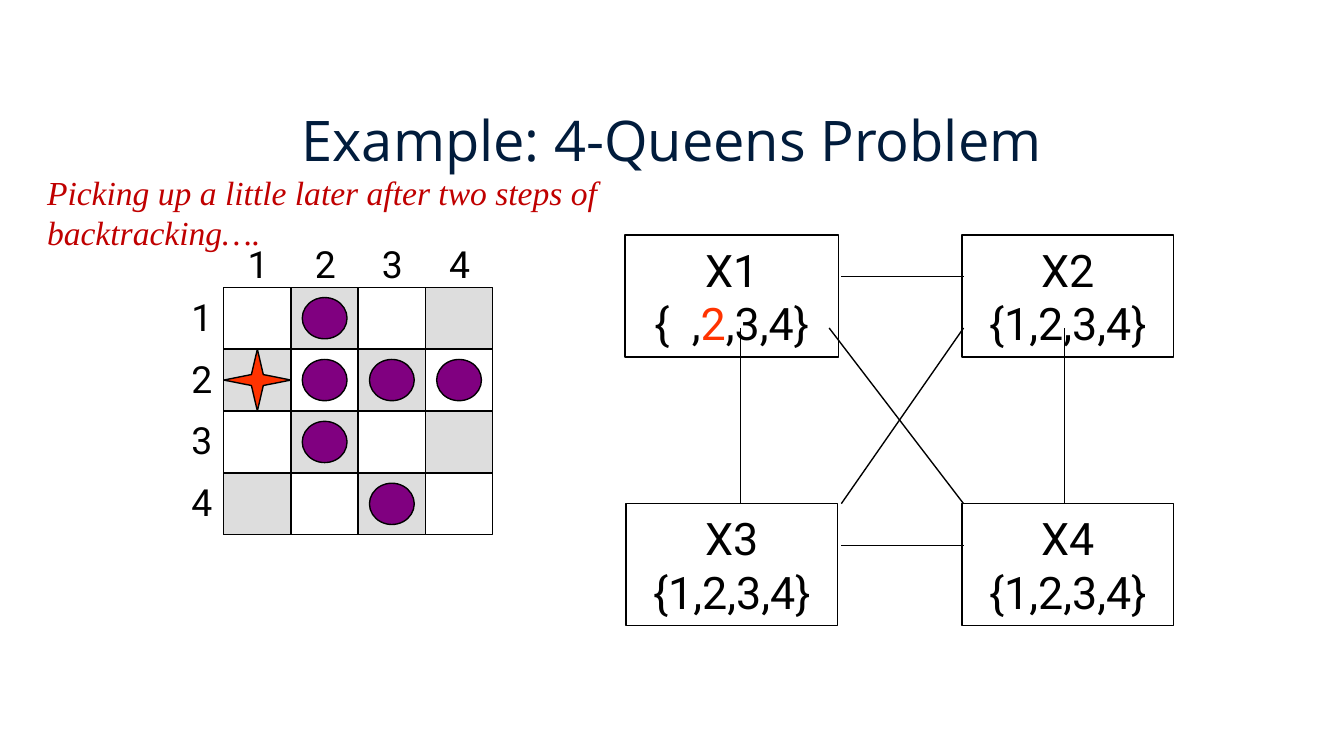
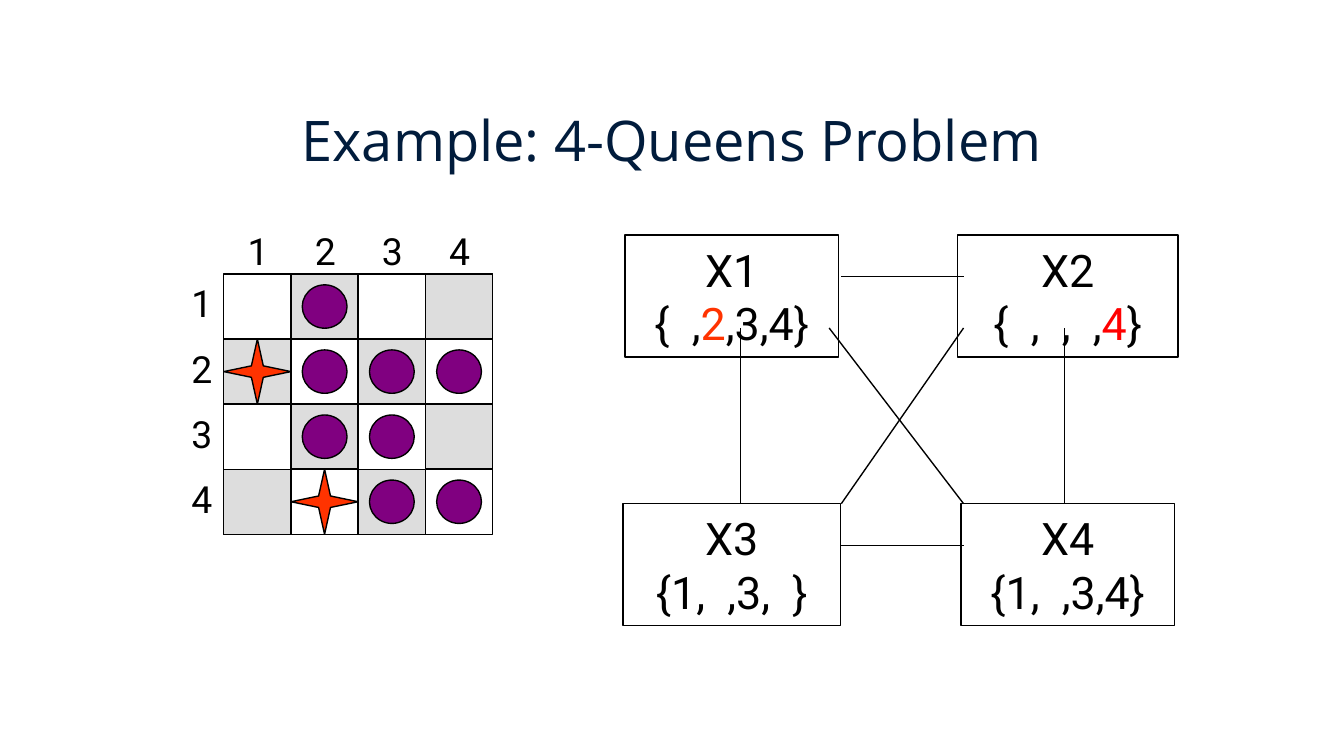
from itertools import product

from lxml.etree import SubElement
from pptx import Presentation
from pptx.dml.color import RGBColor
from pptx.enum.shapes import MSO_CONNECTOR, MSO_SHAPE
from pptx.enum.text import MSO_ANCHOR, MSO_AUTO_SIZE as AUTO_SIZE, PP_ALIGN
from pptx.oxml.ns import qn
from pptx.util import Cm, Pt

BLACK, NAVY, CRIMSON = "000000", "011C3C", "C00000"
ORANGE, RED, PURPLE, GREY = "FF3300", "FF0000", "800080", "DDDDDD"
TITLE_FONT, BODY_FONT, NOTE_FONT = "Open Sans", "Roboto", "Times New Roman"
TITLE_ONLY = 5
BOARD_SIZE = 4
CELL_WIDTH = 1.27
MARK_RATIO = 2 / 3
LINE_WIDTH = 0.75
NODE_HEIGHT = 2.31
NODE_CENTERS = (2.03, 8.38)
NODE_TOPS = (0, 5.08)
EDGES = [
    (4.1, 0.79, 6.41, 0.79),
    (2.2, 1.76, 2.2, 5.08),
    (4.1, 5.87, 6.41, 5.87),
    (8.32, 1.76, 8.32, 5.08),
    (3.87, 1.76, 6.41, 5.08),
    (6.41, 1.76, 4.1, 5.08),
]


def color(hex_string):
    """Turn a hex string into a colour."""
    return RGBColor.from_string(hex_string)


def add_run(paragraph, text, size, font, hex_color=BLACK, italic=None):
    """Append one formatted run to a paragraph."""
    run = paragraph.add_run()
    run.text = text
    run.font.size = Pt(size)
    run.font.name = font
    run.font.color.rgb = color(hex_color)
    run.font.italic = italic


def add_box(shapes, kind, left, top, width, height, fill=None):
    """Add an outlined preset shape, filled or clear."""
    shape = shapes.add_shape(kind, Cm(left), Cm(top), Cm(width), Cm(height))
    shape.shadow.inherit = False
    shape.line.color.rgb = color(BLACK)
    shape.line.width = Pt(LINE_WIDTH)
    if fill:
        shape.fill.solid()
        shape.fill.fore_color.rgb = color(fill)
    else:
        shape.fill.background()
    return shape


def add_text(shapes, left, top, width, height, wrap=False):
    """Add a text box that grows with its text and return its frame."""
    frame = shapes.add_textbox(Cm(left), Cm(top), Cm(width), Cm(height)).text_frame
    frame.word_wrap = wrap
    frame.auto_size = AUTO_SIZE.SHAPE_TO_FIT_TEXT
    return frame


def add_edge(shapes, x1, y1, x2, y2):
    """Add a thin straight line between two points."""
    edge = shapes.add_connector(MSO_CONNECTOR.STRAIGHT, Cm(x1), Cm(y1), Cm(x2), Cm(y2))
    edge.line.color.rgb = color(BLACK)
    edge.line.width = Pt(LINE_WIDTH)
    SubElement(edge._element.spPr, qn("a:effectLst"))


def add_title(slide, text):
    """Place and format the title placeholder."""
    title = slide.shapes.title
    title.left, title.top, title.width, title.height = Cm(1.27), Cm(2), Cm(22.86), Cm(1.9)
    frame = title.text_frame
    frame.vertical_anchor = MSO_ANCHOR.TOP
    frame.margin_top = frame.margin_bottom = 0
    paragraph = frame.paragraphs[0]
    paragraph.alignment = PP_ALIGN.CENTER
    add_run(paragraph, text, 30, TITLE_FONT, NAVY)


def add_node(shapes, center, top, width, name, domain):
    """Draw one variable with its domain below its name."""
    node = add_box(shapes, MSO_SHAPE.RECTANGLE, center - width / 2, top, width, NODE_HEIGHT)
    frame = node.text_frame
    frame.word_wrap = False
    frame.auto_size = AUTO_SIZE.SHAPE_TO_FIT_TEXT
    for paragraph, runs in (
        (frame.paragraphs[0], [(name, BLACK)]),
        (frame.add_paragraph(), domain),
    ):
        paragraph.alignment = PP_ALIGN.CENTER
        for text, hex_color in runs:
            add_run(paragraph, text, 24, BODY_FONT, hex_color)


def add_constraint_graph(slide, left, top, nodes):
    """Draw four variables in a square and the lines between them."""
    shapes = slide.shapes.add_group_shape().shapes
    places = product(NODE_TOPS, NODE_CENTERS)
    for number, ((y, x), (width, domain)) in enumerate(zip(places, nodes), 1):
        add_node(shapes, left + x, top + y, width, f"X{number}", domain)
    for x1, y1, x2, y2 in EDGES:
        add_edge(shapes, left + x1, top + y1, left + x2, top + y2)


def add_board(slide, left, top, cell_height, queens, attacked):
    """Draw the numbered chessboard with queens and attacked squares."""
    shapes = slide.shapes.add_group_shape().shapes
    numbers = range(1, BOARD_SIZE + 1)

    def add_mark(kind, row, column, ratio, fill):
        """Centre a shape in a square of the board."""
        width, height = CELL_WIDTH * ratio, cell_height * ratio
        x = left + (column - 0.5) * CELL_WIDTH - width / 2
        y = top + (row - 0.5) * cell_height - height / 2
        return add_box(shapes, kind, x, y, width, height, fill)

    add_box(shapes, MSO_SHAPE.RECTANGLE, left, top,
            BOARD_SIZE * CELL_WIDTH, BOARD_SIZE * cell_height)
    for row, column in product(numbers, numbers):
        if (row + column) % 2:
            add_mark(MSO_SHAPE.RECTANGLE, row, column, 1, GREY)
    for number in numbers:
        row_place = (left - 0.86, top + (number - 1) * cell_height)
        column_place = (left + 0.2 + (number - 1) * CELL_WIDTH, top - 1)
        for x, y in (row_place, column_place):
            frame = add_text(shapes, x, y, 0.89, 1.37)
            add_run(frame.paragraphs[0], str(number), 20, BODY_FONT)
    for row, column in queens:
        star = add_mark(MSO_SHAPE.STAR_4_POINT, row, column, 1, ORANGE)
        star.adjustments[0] = 0.125
    for row, column in attacked:
        add_mark(MSO_SHAPE.OVAL, row, column, MARK_RATIO, PURPLE)


def add_note(slide, left, top, text):
    """Add the italic remark below the title."""
    frame = add_text(slide.shapes, left, top, 11.86, 1.8, wrap=True)
    add_run(frame.paragraphs[0], text, 18, NOTE_FONT, CRIMSON, italic=True)


def add_queens_slide(presentation, board_top, cell_height, queens, attacked, nodes):
    """Add a slide with the board on the left and the graph on the right."""
    slide = presentation.slides.add_slide(presentation.slide_layouts[TITLE_ONLY])
    add_title(slide, "Example: 4-Queens Problem")
    add_constraint_graph(slide, 11.8, 4.44, nodes)
    add_board(slide, 4.23, board_top, cell_height, queens, attacked)
    return slide


def main():
    """Build both slides and save them."""
    presentation = Presentation()
    presentation.slide_width, presentation.slide_height = Cm(25.4), Cm(14.29)
    first_queen_attacks = [(1, 2), (2, 2), (2, 3), (2, 4), (3, 2), (4, 3)]
    x1_node = (4.04, [("{  ,", BLACK), ("2", ORANGE), (",3,4}", BLACK)])
    full_node = (3.99, [("{1,2,3,4}", BLACK)])

    slide = add_queens_slide(
        presentation, 5.43, 1.17, [(2, 1)], first_queen_attacks,
        [x1_node, full_node, full_node, full_node])
    add_note(slide, 0.64, 3.12,
             "Picking up a little later after two steps of backtracking….")

    add_queens_slide(
        presentation, 5.18, 1.23, [(2, 1), (4, 2)],
        first_queen_attacks + [(3, 3), (4, 4)],
        [x1_node,
         (4.17, [("{  ,  ,  ,", BLACK), ("4", RED), ("}", BLACK)]),
         (4.11, [("{1,  ,3,  }", BLACK)]),
         (4.04, [("{1,  ,3,4}", BLACK)])])
    presentation.save("out.pptx")


if __name__ == "__main__":
    main()
